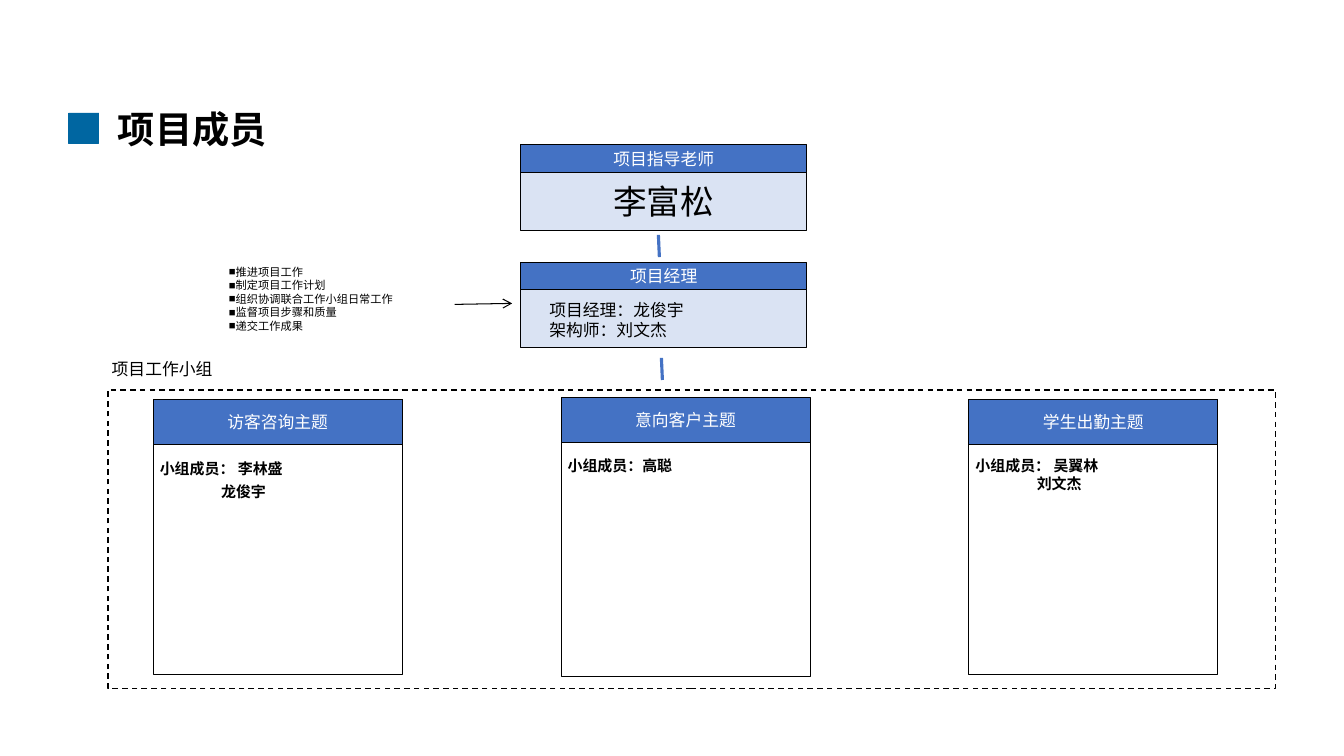
"""Build the project members slide."""
import dataclasses

import lxml.etree
import pptx
import pptx.dml.color
import pptx.enum.dml
import pptx.enum.shapes
import pptx.enum.text
import pptx.oxml.ns
import pptx.util


@dataclasses.dataclass(frozen=True)
class Theme:
    """Colours, type sizes and grid of the slide."""
    font: str = "Noto Sans CJK SC"
    ink: str = "000000"
    paper: str = "FFFFFF"
    blue: str = "4472C4"
    pale: str = "DAE3F3"
    mark: str = "0066A1"
    title: float = 26.6
    name: float = 24
    label: float = 12
    team: float = 10.7
    note: float = 8
    lead: float = 1.2
    cell: float = 1 / 12


class Board:
    """Draw elements on one slide, measured in grid cells."""

    def __init__(self, deck, theme):
        """Keep the theme and add a title and body slide."""
        self.theme = theme
        self.slide = deck.slides.add_slide(deck.slide_layouts[1])

    def unit(self, count):
        """Turn grid cells into a length."""
        return pptx.util.Inches(count * self.theme.cell)

    def hue(self, code):
        """Turn a hex code into a colour."""
        return pptx.dml.color.RGBColor.from_string(code)

    def node(self, parent, tag, **attrs):
        """Append a drawing element to its parent."""
        name = pptx.oxml.ns.qn("a:" + tag)
        return lxml.etree.SubElement(parent, name, **attrs)

    def place(self, shape, area):
        """Move a placeholder to a grid area."""
        shape.left, shape.top, shape.width, shape.height = map(self.unit, area)

    def label(self, shape, text, size, color=None, bold=False, mid=False,
              lead=None, hang=0, bullet=None):
        """Fill a shape with formatted text."""
        theme, frame = self.theme, shape.text_frame
        frame.text = text
        frame.word_wrap = True
        frame.auto_size = pptx.enum.text.MSO_AUTO_SIZE.NONE
        anchor, align = pptx.enum.text.MSO_ANCHOR, pptx.enum.text.PP_ALIGN
        frame.vertical_anchor = anchor.MIDDLE if mid else anchor.TOP
        for row, para in enumerate(frame.paragraphs):
            para.alignment = align.CENTER if mid else align.LEFT
            para.space_before = pptx.util.Pt(0)
            para.line_spacing = pptx.util.Pt(round(size * (lead or theme.lead), 1))
            props = para._p.get_or_add_pPr()
            props.set("marL", str(self.unit(hang if row else 0)))
            props.set("indent", "0")
            if bullet:
                self.node(props, "buChar", char=bullet)
            for run in para.runs:
                run.font.size = pptx.util.Pt(size)
                run.font.bold = bold
                run.font.color.rgb = self.hue(color or theme.ink)
                run.font.name = theme.font
                self.node(run._r.get_or_add_rPr(), "ea", typeface=theme.font)

    def title(self, area, text):
        """Set the slide title."""
        shape = self.slide.shapes.title
        self.place(shape, area)
        self.label(shape, text, self.theme.title, bold=True)

    def points(self, area, text):
        """Set the bulleted list."""
        shape = self.slide.placeholders[1]
        self.place(shape, area)
        self.label(shape, text, self.theme.note, bullet="■")

    def note(self, area, text, size, **style):
        """Add a text box."""
        shape = self.slide.shapes.add_textbox(*map(self.unit, area))
        self.label(shape, text, size, **style)

    def box(self, area, fill=None, line=None, width=0.75, dash=False):
        """Add a rectangle."""
        kind = pptx.enum.shapes.MSO_SHAPE.RECTANGLE
        shape = self.slide.shapes.add_shape(kind, *map(self.unit, area))
        shape.shadow.inherit = False
        if fill:
            shape.fill.solid()
            shape.fill.fore_color.rgb = self.hue(fill)
        else:
            shape.fill.background()
        shape.line.color.rgb = self.hue(line or self.theme.ink)
        shape.line.width = pptx.util.Pt(width)
        if dash:
            shape.line.dash_style = pptx.enum.dml.MSO_LINE.DASH
        return shape

    def head(self, area, text):
        """Add a blue header bar."""
        shape = self.box(area, self.theme.blue)
        self.label(shape, text, self.theme.label, self.theme.paper, mid=True)

    def link(self, start, end, color, width, arrow=False):
        """Join two grid points with a line."""
        kind = pptx.enum.shapes.MSO_CONNECTOR.STRAIGHT
        line = self.slide.shapes.add_connector(kind, *map(self.unit, start + end))
        line.line.color.rgb = self.hue(color)
        line.line.width = pptx.util.Pt(width)
        props = line.element.spPr
        if arrow:
            self.node(props.find(pptx.oxml.ns.qn("a:ln")), "tailEnd", type="arrow")
        self.node(props, "effectLst")

    def role(self, top, text):
        """Add a role box and return its pale lower part."""
        left, width, bar, tall = 62, 34, 3.3, 10.2
        body = self.box((left, top + bar, width, tall - bar), self.theme.pale)
        self.head((left, top, width, bar), text)
        return body

    def card(self, left, top, drop, text, team, base, lead):
        """Add a team card with its members."""
        width = 29.64
        self.box((left, top + drop, width, 32.8))
        self.head((left, top, width, 5.4), text)
        self.note((left - 0.4, base, width, 7.5), team, self.theme.team,
                  bold=True, lead=lead, hang=7.3)


def main():
    """Build and save the slide."""
    theme = Theme()
    deck = pptx.Presentation()
    deck.slide_width = pptx.util.Inches(13.33)
    deck.slide_height = pptx.util.Inches(7.5)
    board = Board(deck, theme)

    board.title((12.84, 12.1, 104.5, 6.6), "项目成员")
    side = 1.8
    for col in range(2):
        for row in range(2):
            area = (8.16 + col * side, 13.44 + row * side, side, side)
            board.box(area, theme.mark, theme.mark, 0.5)

    board.label(board.role(17.2, "项目指导老师"), "李富松", theme.name, mid=True)
    board.role(31.2, "项目经理")
    board.note((64.2, 35.1, 31.8, 6), "项目经理：龙俊宇\n架构师：刘文杰", theme.label)
    board.points((26.04, 30.96, 27, 9.24),
                 "推进项目工作\n制定项目工作计划\n组织协调联合工作小组日常工作\n"
                 "监督项目步骤和质量\n递交工作成果")

    board.link((78.36, 27.96), (78.48, 30.6), theme.blue, 2.25)
    board.link((78.72, 42.6), (78.84, 45.24), theme.blue, 2.25)
    board.link((54.12, 36.24), (60.96, 36.12), theme.ink, 0.75, arrow=True)

    board.note((12.12, 42.1, 20.9, 3.6), "项目工作小组", theme.label)
    board.box((12.84, 46.44, 138.96, 35.52), width=1, dash=True)
    teams = (
        (47.52, 0, "访客咨询主题", "小组成员： 李林盛\n龙俊宇", 53.4, 1.57),
        (47.28, 0.48, "意向客户主题", "小组成员：高聪", 53.76, theme.lead),
        (47.52, 0, "学生出勤主题", "小组成员： 吴翼林\n刘文杰", 53.76, theme.lead),
    )
    for spot, team in enumerate(teams):
        board.card(18.24 + 48.54 * spot, *team)

    deck.save("out.pptx")


if __name__ == "__main__":
    main()
